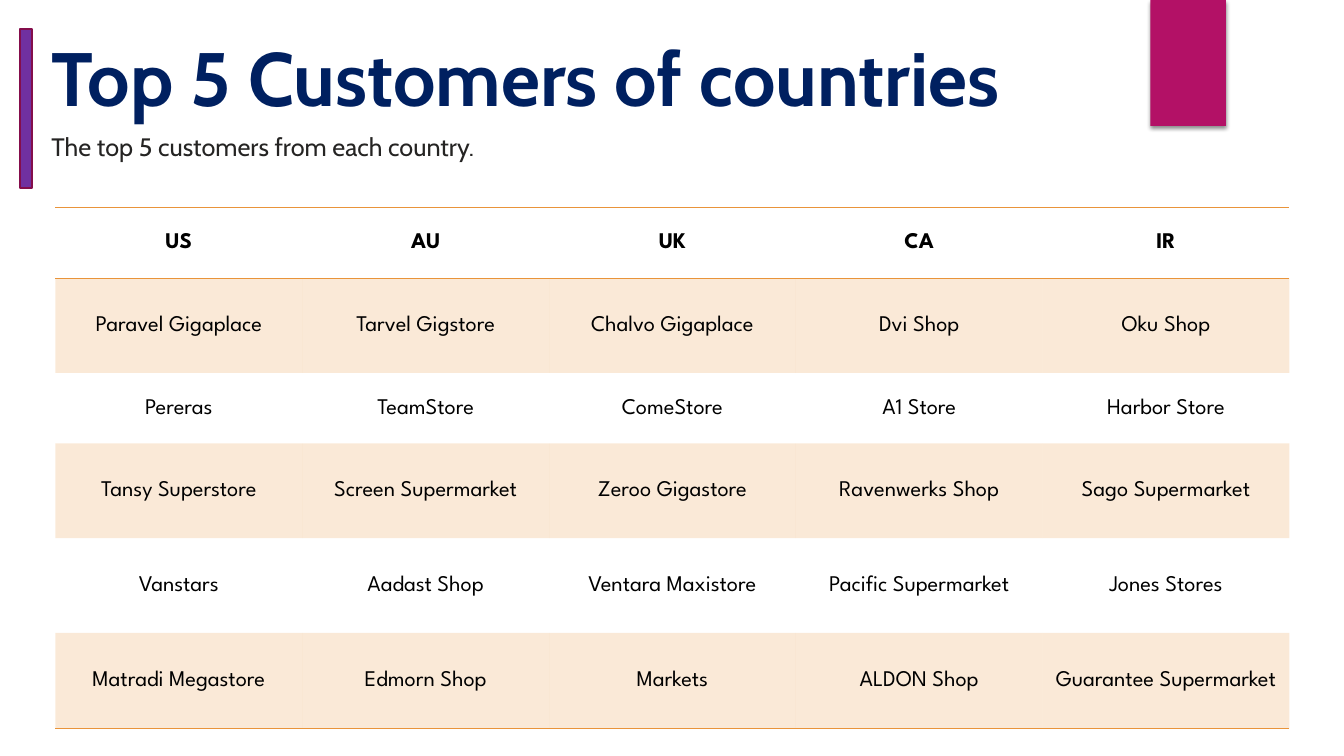
from dataclasses import dataclass

from pptx import Presentation
from pptx.dml.color import RGBColor as Color
from pptx.enum.shapes import MSO_SHAPE as Preset
from pptx.enum.text import MSO_ANCHOR as Anchor, MSO_AUTO_SIZE as AutoSize, PP_ALIGN as Align
from pptx.oxml import parse_xml
from pptx.oxml.ns import nsdecls, qn
from pptx.util import Inches, Pt

NO_STYLE = "{2D5ABB26-0587-4C30-8999-92F81FD0307C}"

CUSTOMERS = [
    ["US", "AU", "UK", "CA", "IR"],
    ["Paravel Gigaplace", "Tarvel Gigstore", "Chalvo Gigaplace", "Dvi Shop", "Oku Shop"],
    ["Pereras", "TeamStore", "ComeStore", "A1 Store", "Harbor Store"],
    ["Tansy Superstore", "Screen Supermarket", "Zeroo Gigastore", "Ravenwerks Shop", "Sago Supermarket"],
    ["Vanstars", "Aadast Shop", "Ventara Maxistore", "Pacific Supermarket", "Jones Stores"],
    ["Matradi Megastore", "Edmorn Shop", "Markets", "ALDON Shop", "Guarantee Supermarket"],
]
ROW_HEIGHTS = [0.7, 0.94, 0.7, 0.94, 0.94, 0.95]


@dataclass(frozen=True)
class Theme:
    heading_font: str = "Cabin"
    table_font: str = "League Spartan"
    title_size: int = 54
    subtitle_size: int = 18
    table_size: int = 16
    title: str = "002060"
    subtitle: str = "252423"
    table_text: str = "000000"
    ribbon: str = "B31166"
    bar: str = "7030A0"
    bar_line: str = "840D4B"
    accent: str = "E9943A"


def write(frame, text, *, font, size, color, bold=False, align=Align.LEFT):
    para = frame.paragraphs[0]
    para.alignment = align
    span = para.add_run()
    span.text = text
    span.font.name = font
    span.font.size = Pt(size)
    span.font.bold = bold
    span.font.color.rgb = Color.from_string(color)


class PageBuilder:
    def __init__(self, page, theme):
        self.page = page
        self.theme = theme

    def shape(self, preset, left, top, width, height, fill, line=None, rotation=0):
        shape = self.page.shapes.add_shape(
            preset, Inches(left), Inches(top), Inches(width), Inches(height))
        shape.rotation = rotation
        shape.shadow.inherit = False
        shape.fill.solid()
        shape.fill.fore_color.rgb = Color.from_string(fill)
        if line:
            shape.line.color.rgb = Color.from_string(line)
            shape.line.width = Pt(1.5)
        else:
            shape.line.fill.background()
        return shape

    def drop_shadow(self, shape):
        effects = shape._element.spPr.find(qn("a:effectLst"))
        effects.append(parse_xml(
            f'<a:outerShdw {nsdecls("a")} blurRad="{Pt(3)}" dist="{Pt(2)}" dir="5400000" rotWithShape="0">'
            '<a:srgbClr val="000000"><a:alpha val="45000"/></a:srgbClr></a:outerShdw>'))

    def text(self, left, top, width, height, text, **style):
        box = self.page.shapes.add_textbox(
            Inches(left), Inches(top), Inches(width), Inches(height))
        frame = box.text_frame
        frame.word_wrap = True
        frame.auto_size = AutoSize.SHAPE_TO_FIT_TEXT
        frame.margin_left = frame.margin_right = frame.margin_top = frame.margin_bottom = 0
        write(frame, text, font=self.theme.heading_font, **style)

    def table(self, left, top, width, heights, rows):
        table = self.page.shapes.add_table(
            len(rows), len(rows[0]), Inches(left), Inches(top),
            Inches(width), Inches(sum(heights))).table
        table._tbl.tblPr.find(qn("a:tableStyleId")).text = NO_STYLE
        for index, (height, names) in enumerate(zip(heights, rows)):
            table.rows[index].height = Inches(height)
            for column, name in enumerate(names):
                self.cell(table.cell(index, column), name, index, index == len(rows) - 1)

    def cell(self, cell, name, index, is_last):
        theme = self.theme
        is_header = index == 0
        cell.vertical_anchor = Anchor.MIDDLE
        cell.margin_left = cell.margin_right = cell.margin_top = Inches(0.01)
        cell.margin_bottom = 0
        write(cell.text_frame, name, font=theme.table_font, size=theme.table_size,
              color=theme.table_text, bold=is_header, align=Align.CENTER)
        if is_header:
            self.border(cell, "lnT", theme.accent)
        if is_header or is_last:
            self.border(cell, "lnB", theme.accent)
        if index % 2:
            cell.fill.solid()
            cell.fill.fore_color.rgb = Color.from_string(theme.accent)
            color = cell._tc.tcPr.find(qn("a:solidFill"))[0]
            color.append(parse_xml(f'<a:alpha {nsdecls("a")} val="20000"/>'))
        else:
            cell.fill.background()

    def border(self, cell, side, color):
        cell._tc.get_or_add_tcPr().append(parse_xml(
            f'<a:{side} {nsdecls("a")} w="{Pt(1)}"><a:solidFill>'
            f'<a:srgbClr val="{color}"/></a:solidFill></a:{side}>'))


def main():
    theme = Theme()
    deck = Presentation()
    deck.slide_width = Inches(13.33)
    deck.slide_height = Inches(7.5)
    builder = PageBuilder(deck.slides.add_slide(deck.slide_layouts[6]), theme)

    ribbon = builder.shape(Preset.RECTANGLE, 11.41, 0, 0.75, 1.25, theme.ribbon)
    builder.drop_shadow(ribbon)
    builder.text(0.51, 0.31, 12.61, 0.91, "Top 5 Customers of countries",
                 size=theme.title_size, color=theme.title, bold=True)
    builder.shape(Preset.MATH_MINUS, -0.82, 0.82, 2.15, 0.51, theme.bar,
                  line=theme.bar_line, rotation=90)
    builder.text(0.51, 1.3, 12.24, 0.3, "The top 5 customers from each country.",
                 size=theme.subtitle_size, color=theme.subtitle)
    builder.table(0.55, 2.06, 12.24, ROW_HEIGHTS, CUSTOMERS)

    deck.save("out.pptx")


if __name__ == "__main__":
    main()
